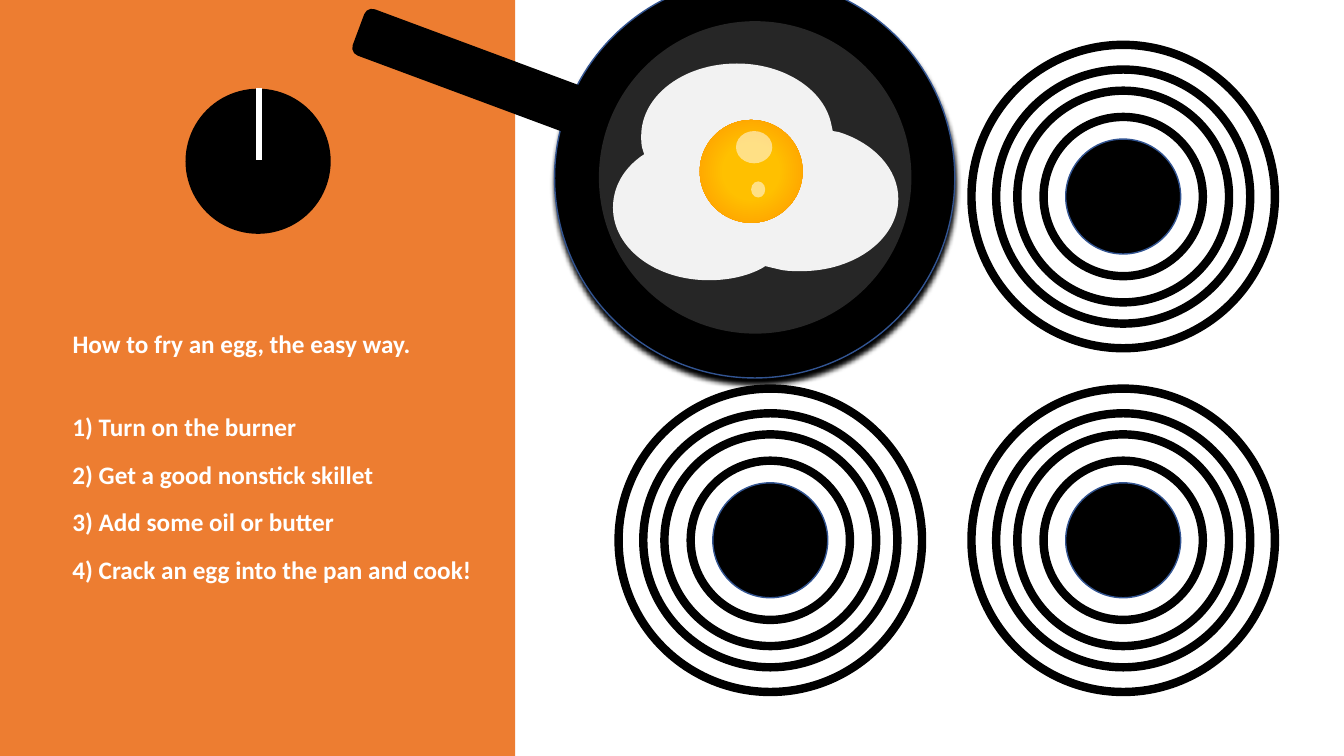
from pptx import Presentation
from pptx.dml.color import RGBColor
from pptx.enum.shapes import MSO_CONNECTOR as Link, MSO_SHAPE as Kind
from pptx.enum.text import MSO_ANCHOR as Anchor, PP_ALIGN as Align
from pptx.oxml import parse_xml
from pptx.oxml.ns import nsdecls
from pptx.util import Inches, Pt

# Content
HEAD = "How to fry an egg, the easy way."
STEPS = [
    "1) Turn on the burner",
    "2) Get a good nonstick skillet",
    "3) Add some oil or butter",
    "4) Crack an egg into the pan and cook!",
]
BURNERS = [(11.14, 1.95), (7.64, 5.36), (11.14, 5.36)]
RINGS = [1.58, 2.1, 2.52, 3.01]
BLACK, WHITE, NAVY, ORANGE = "000000", "FFFFFF", "325491", "ED7D31"
TILT = 20.4

# Egg white: points to draw to; six numbers make a curve, two a straight line
START = (7.31, 0.63)
OUTLINE = [
    (7.77, 0.63, 8.16, 0.88, 8.24, 1.21), (8.26, 1.3), (8.32, 1.31),
    (8.67, 1.42, 8.91, 1.68, 8.91, 1.97), (8.91, 2.37, 8.48, 2.69, 7.95, 2.69),
    (7.89, 2.69, 7.82, 2.69, 7.76, 2.68), (7.59, 2.64), (7.56, 2.66),
    (7.41, 2.74, 7.23, 2.78, 7.03, 2.78), (6.5, 2.78, 6.08, 2.46, 6.08, 2.06),
    (6.08, 1.86, 6.18, 1.68, 6.36, 1.55), (6.39, 1.53), (6.38, 1.5),
    (6.36, 1.45, 6.36, 1.4, 6.36, 1.35), (6.36, 0.95, 6.78, 0.63, 7.31, 0.63),
]

YOLK = f"""<a:gradFill {nsdecls('a')} rotWithShape="1"><a:gsLst>
<a:gs pos="38000"><a:srgbClr val="FFC000"/></a:gs>
<a:gs pos="100000"><a:srgbClr val="FF9300"/></a:gs></a:gsLst>
<a:path path="circle"><a:fillToRect l="50000" t="50000" r="50000" b="50000"/></a:path>
</a:gradFill>"""
SHADE = f"""<a:effectLst {nsdecls('a')}><a:outerShdw blurRad="50800" dist="50800"
dir="5400000" rotWithShape="0"><a:srgbClr val="000000"><a:alpha val="100000"/>
</a:srgbClr></a:outerShdw></a:effectLst>"""

deck = Presentation()
deck.slide_width, deck.slide_height = Inches(13.33), Inches(7.5)
slide = deck.slides.add_slide(deck.slide_layouts[5])
shapes = slide.shapes


def color(code):
    return RGBColor.from_string(code)


def paint(shape, fill=None, line=None, width=1):
    shape.shadow.inherit = False
    if fill:
        shape.fill.solid()
        shape.fill.fore_color.rgb = color(fill)
    else:
        shape.fill.background()
    if line:
        shape.line.color.rgb = color(line)
        shape.line.width = Pt(width)
    else:
        shape.line.fill.background()
    return shape


def block(kind, left, top, wide, high, **look):
    box = [Inches(n) for n in (left, top, wide, high)]
    return paint(shapes.add_shape(kind, *box), **look)


def oval(left, top, wide, high=None, **look):
    return block(Kind.OVAL, left, top, wide, high or wide, **look)


def swap(shape, tag, xml):
    old = shape._element.spPr.find("{*}" + tag)
    old.getparent().replace(old, parse_xml(xml))


def write(box, text, top, wide=3.89, size=18, ink=WHITE):
    box.left, box.top = Inches(0.62), Inches(top)
    box.width, box.height = Inches(wide), Inches(0.4)
    frame = box.text_frame
    frame.word_wrap = True
    frame.vertical_anchor = Anchor.TOP
    para = frame.paragraphs[0]
    para.text = text
    para.alignment = Align.LEFT
    font = para.runs[0].font
    font.name, font.size, font.bold = "Calibri", Pt(size), True
    font.color.rgb = color(ink)


def trace(start, moves, unit=1000):
    """Draw straight lines between the ends, then bend those that curve."""
    ends = [tuple(n * unit for n in move[-2:]) for move in moves]
    pen = shapes.build_freeform(*(n * unit for n in start), scale=Inches(1) / unit)
    pen.add_line_segments(ends, close=True)
    shape = pen.convert_to_shape()
    left, top = (min(axis) for axis in zip(*ends))
    lines = shape._element.spPr.findall(".//{*}lnTo")
    for line, move in zip(lines, moves):
        if len(move) == 6:
            points = "".join(
                f'<a:pt x="{round(x * unit - left)}" y="{round(y * unit - top)}"/>'
                for x, y in zip(move[::2], move[1::2]))
            curve = f"<a:cubicBezTo {nsdecls('a')}>{points}</a:cubicBezTo>"
            line.getparent().replace(line, parse_xml(curve))
    return shape


# Burners
for x, y in BURNERS:
    oval(x - 0.57, y - 0.57, 1.14, fill=BLACK, line=NAVY)
    for ring in RINGS:
        oval(x - ring / 2, y - ring / 2, ring, line=BLACK, width=6)

# Side panel with knob
block(Kind.RECTANGLE, 0, 0, 5.11, 7.5, fill=ORANGE)
oval(1.84, 0.88, 1.44, fill=BLACK)
mark = shapes.add_connector(Link.STRAIGHT, Inches(2.57), Inches(0.87), Inches(2.57), Inches(1.59))
mark.line.color.rgb = color(WHITE)
mark.line.width = Pt(4.5)
mark._element.spPr.append(parse_xml(f"<a:effectLst {nsdecls('a')}/>"))

# Title, raised above the panel, and steps
title = shapes.title
shapes._spTree.append(title._element)
write(title, HEAD, 3.21)
for row, step in enumerate(STEPS):
    wide = 4.32 if row == len(STEPS) - 1 else 3.89
    write(shapes.add_textbox(0, 0, 0, 0), step, 4.03 + row * 0.473, wide)

# Skillet
pan = oval(5.5, -0.22, 3.97, fill=BLACK, line=NAVY)
swap(pan, "effectLst", SHADE)
base = oval(5.94, 0.21, 3.1, fill="262626")
handle = block(Kind.ROUNDED_RECTANGLE, 3.48, 0.47, 2.42, 0.49, fill=BLACK)
for part in (pan, base, handle):
    part.rotation = TILT

# Egg
paint(trace(START, OUTLINE), fill="F2F2F2")
yolk = oval(6.94, 1.19, 1.02)
swap(yolk, "noFill", YOLK)
for spot in [(7.3, 1.3, 0.36, 0.32), (7.45, 1.8, 0.14, 0.16)]:
    shine = oval(*spot, fill=WHITE)
    tint = shine._element.spPr.find("{*}solidFill")[0]
    tint.append(parse_xml(f'<a:alpha {nsdecls("a")} val="52000"/>'))

deck.save("out.pptx")
